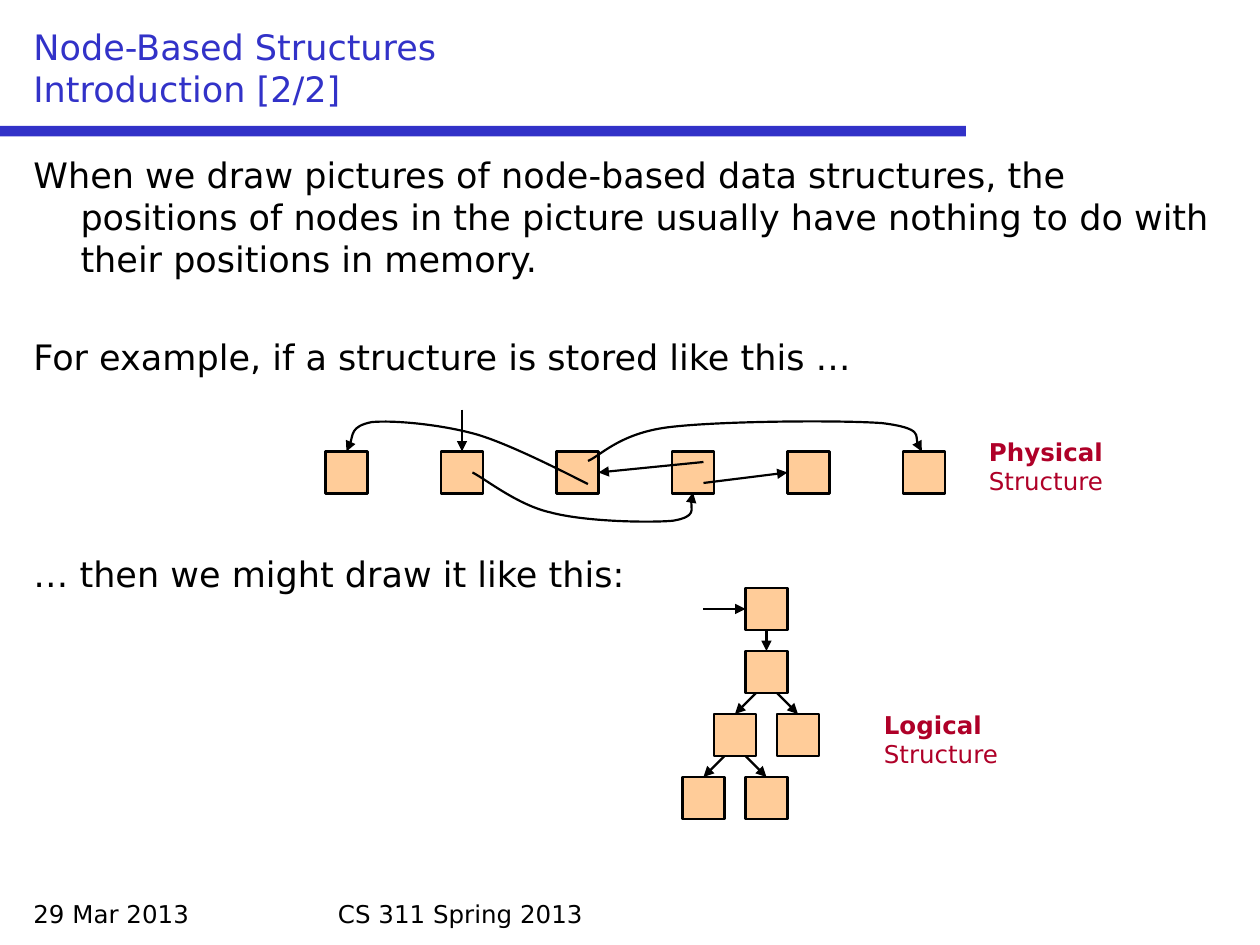
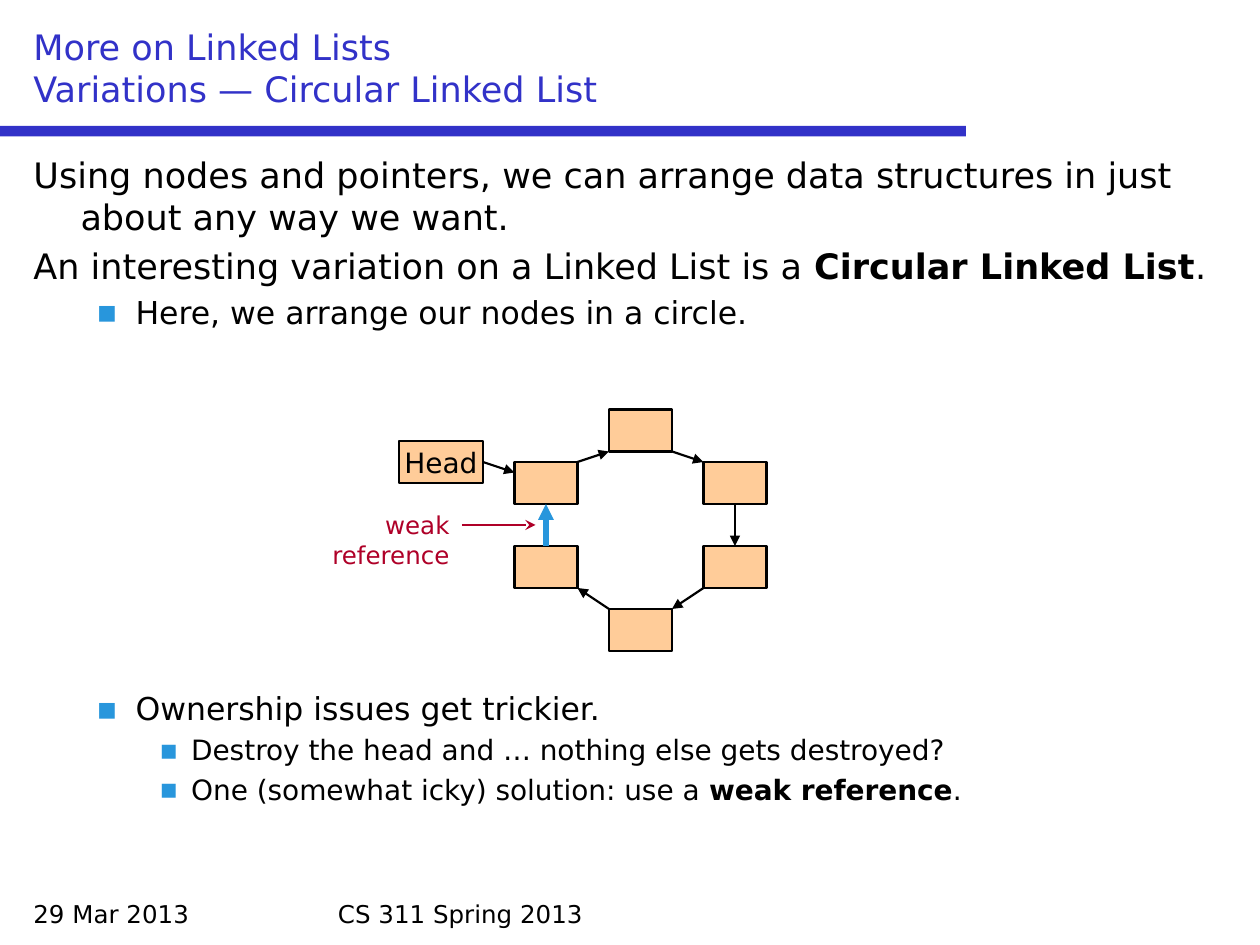
from lxml.etree import SubElement
from pptx import Presentation
from pptx.dml.color import RGBColor
from pptx.enum.shapes import MSO_CONNECTOR, MSO_SHAPE
from pptx.enum.text import MSO_ANCHOR, PP_ALIGN
from pptx.oxml.ns import qn
from pptx.util import Cm, Pt

BLUE, SKY, RED, PEACH, BLACK = "3232C8", "2896DC", "AF0028", "FFCC99", "000000"
FONT = "DejaVu Sans"
GRID = Cm(25.4) / 120  # all positions below count twelfths of an inch

# Body levels: text size, left margin, first-line indent, bullet
LEVELS = [
    (20, Cm(0.95), Cm(-0.95), None),
    (18, Cm(2.06), Cm(-0.79), "▪"),
    (16, Cm(3.18), Cm(-0.64), "▪"),
]

FOOTERS = [("29 Mar 2013", (2, 85, 28, 4)), ("CS 311 Spring 2013", (31, 85, 58, 4))]

# Physical nodes stand in one row; logical nodes form a tree
physical_nodes = [(31 + 11 * i, 43, 4, 4) for i in range(6)]
logical_nodes = [(x, y, 4, 4) for x, y in
                 [(71, 56), (71, 62), (68, 68), (74, 68), (65, 74), (71, 74)]]
circle_nodes = [(x, y, 6, 4) for x, y in
                [(58, 39), (67, 44), (67, 52), (58, 58), (49, 52), (49, 44)]]

# Body lines: level, space before in points, text with *bold* parts
# Arrows: start, end, colour, width in points, head
# Curves: start point, then three Bezier points per segment
LINK = (BLACK, 1.25, "triangle")
SLIDES = [
    {
        "title": "Node-Based Structures\nIntroduction [2/2]",
        "body": [
            (0, 0, "When we draw pictures of node-based data structures, the "
                   "positions of nodes in the picture usually have nothing to do "
                   "with their positions in memory."),
            (0, 32, "For example, if a structure is stored like this …"),
            (0, 100, "… then we might draw it like this:"),
        ],
        "nodes": [(box, "") for box in physical_nodes + logical_nodes],
        "arrows": [(start, end, *LINK) for start, end in [
            ((44, 39), (44, 43)), ((67, 44), (57, 45)), ((67, 46), (75, 45)),
            ((67, 58), (71, 58)), ((73, 60), (73, 62)), ((72, 66), (70, 68)),
            ((74, 66), (76, 68)), ((69, 72), (67, 74)), ((71, 72), (73, 74)),
        ]],
        "curves": [
            [(56, 46.1), (54.2, 45.2), (48.8, 42.4), (45.5, 41.4), (42, 40.4),
             (37.4, 40), (35.4, 40.2), (33.4, 40.6), (33.5, 42.4), (33, 43)],
            [(56, 43.9), (57.2, 43.4), (59, 41.3), (63.6, 40.7), (68.3, 40.1),
             (79.9, 40), (84, 40.3), (88, 40.8), (87, 42.4), (87.8, 43)],
            [(45, 45), (46.2, 45.6), (49.3, 48.1), (52.4, 48.8), (55.7, 49.7),
             (61.9, 49.8), (64.1, 49.6), (66.4, 49.2), (65.6, 47.5), (66, 46.9)],
        ],
        "labels": [("*Physical* Structure", (93, 41, 19, 7), PP_ALIGN.LEFT),
                   ("*Logical* Structure", (83, 67, 19, 7), PP_ALIGN.LEFT)],
    },
    {
        "title": "More on Linked Lists\nVariations — Circular Linked List",
        "body": [
            (0, 0, "Using nodes and pointers, we can arrange data structures in "
                   "just about any way we want."),
            (0, 4, "An interesting variation on a Linked List is a "
                   "*Circular Linked List*."),
            (1, 3.6, "Here, we arrange our nodes in a circle."),
            (1, 205.2, "Ownership issues get trickier."),
            (2, 3.2, "Destroy the head and … nothing else gets destroyed?"),
            (2, 3.2, "One (somewhat icky) solution: use a *weak reference*."),
        ],
        "nodes": [((38, 42, 8, 4), "Head")] + [(box, "") for box in circle_nodes],
        "arrows": [(start, end, *LINK) for start, end in [
            ((46, 44), (49, 45)), ((64, 43), (67, 44)), ((70, 48), (70, 52)),
            ((67, 56), (64, 58)), ((58, 58), (55, 56)), ((55, 44), (58, 43)),
        ]] + [((52, 52), (52, 48), SKY, 3, "triangle"),
              ((44, 50), (51, 50), RED, 1.25, "stealth")],
        "curves": [],
        "labels": [("weak reference", (27, 48, 17, 7), PP_ALIGN.RIGHT)],
    },
]


def write(paragraph, text, size, colour, **layout):
    """Fill a paragraph with text, making *starred* parts bold."""
    for name, value in layout.items():
        setattr(paragraph, name, value)
    for part, words in enumerate(text.split("*")):
        for row, line in enumerate(words.split("\n")):
            if row:
                paragraph.add_line_break()
            if not line:
                continue
            run = paragraph.add_run()
            run.text = line
            look = {"name": FONT, "size": Pt(size), "bold": part % 2 == 1}
            for name, value in look.items():
                setattr(run.font, name, value)
            run.font.color.rgb = RGBColor.from_string(colour)


def draw_line(shape, colour, width, head=None):
    """Set a shape's line colour, width and arrowhead."""
    shape.line.color.rgb = RGBColor.from_string(colour)
    shape.line.width = Pt(width)
    if head:
        SubElement(shape._element.spPr.find(qn("a:ln")), qn("a:tailEnd"), type=head)


deck = Presentation()
deck.slide_width, deck.slide_height = Cm(25.4), Cm(19.05)

for content in SLIDES:
    slide = deck.slides.add_slide(deck.slide_layouts[6])
    shapes = slide.shapes

    # Title band
    band = shapes.add_shape(MSO_SHAPE.RECTANGLE, *[int(n * GRID) for n in (0, 12, 92, 1)])
    band.shadow.inherit = False
    band.fill.solid()
    band.fill.fore_color.rgb = RGBColor.from_string(BLUE)
    band.line.fill.background()

    # Title, footers and diagram labels
    texts = [(content["title"], (2, 2, 116, 9), 20, BLUE, PP_ALIGN.LEFT, MSO_ANCHOR.BOTTOM)]
    texts += [(text, box, 14, BLACK, PP_ALIGN.LEFT, MSO_ANCHOR.TOP) for text, box in FOOTERS]
    texts += [(text, box, 14, RED, align, MSO_ANCHOR.TOP)
              for text, box, align in content["labels"]]
    for text, box, size, colour, align, anchor in texts:
        frame = shapes.add_textbox(*[int(n * GRID) for n in box]).text_frame
        frame.word_wrap = True
        frame.vertical_anchor = anchor
        write(frame.paragraphs[0], text, size, colour, alignment=align)

    # Body
    body = shapes.add_textbox(*[int(n * GRID) for n in (2, 14, 116, 70)]).text_frame
    body.word_wrap = True
    for index, (level, gap, text) in enumerate(content["body"]):
        size, margin, indent, bullet = LEVELS[level]
        paragraph = body.add_paragraph() if index else body.paragraphs[0]
        write(paragraph, text, size, BLACK, level=level, space_before=Pt(gap))
        settings = paragraph._p.get_or_add_pPr()
        settings.set("marL", str(margin))
        settings.set("indent", str(indent))
        if bullet:
            SubElement(SubElement(settings, qn("a:buClr")), qn("a:srgbClr"), val=SKY)
            SubElement(settings, qn("a:buFont"), typeface=FONT)
            SubElement(settings, qn("a:buChar"), char=bullet)

    # Nodes
    for box, text in content["nodes"]:
        node = shapes.add_shape(MSO_SHAPE.RECTANGLE, *[int(n * GRID) for n in box])
        node.shadow.inherit = False
        node.fill.solid()
        node.fill.fore_color.rgb = RGBColor.from_string(PEACH)
        draw_line(node, BLACK, 1.25)
        if text:
            node.text_frame.word_wrap = False
            node.text_frame.vertical_anchor = MSO_ANCHOR.MIDDLE
            write(node.text_frame.paragraphs[0], text, 16, BLACK, alignment=PP_ALIGN.CENTER)

    # Straight pointers
    for start, end, colour, width, head in content["arrows"]:
        pointer = shapes.add_connector(
            MSO_CONNECTOR.STRAIGHT, *[int(n * GRID) for n in start + end])
        draw_line(pointer, colour, width, head)
        SubElement(pointer._element.spPr, qn("a:effectLst"))

    # Curved pointers: every three line points become one Bezier segment
    for points in content["curves"]:
        start, *rest = [(int(x * GRID), int(y * GRID)) for x, y in points]
        builder = shapes.build_freeform(*start)
        builder.add_line_segments(rest, close=False)
        curve = builder.convert_to_shape()
        curve.shadow.inherit = False
        curve.fill.background()
        draw_line(curve, *LINK)
        outline = next(curve._element.iter(qn("a:path")))
        steps = outline.findall(qn("a:lnTo"))
        for first in range(0, len(steps), 3):
            bezier = SubElement(outline, qn("a:cubicBezTo"))
            for step in steps[first:first + 3]:
                bezier.append(step[0])
                outline.remove(step)

deck.save("out.pptx")
